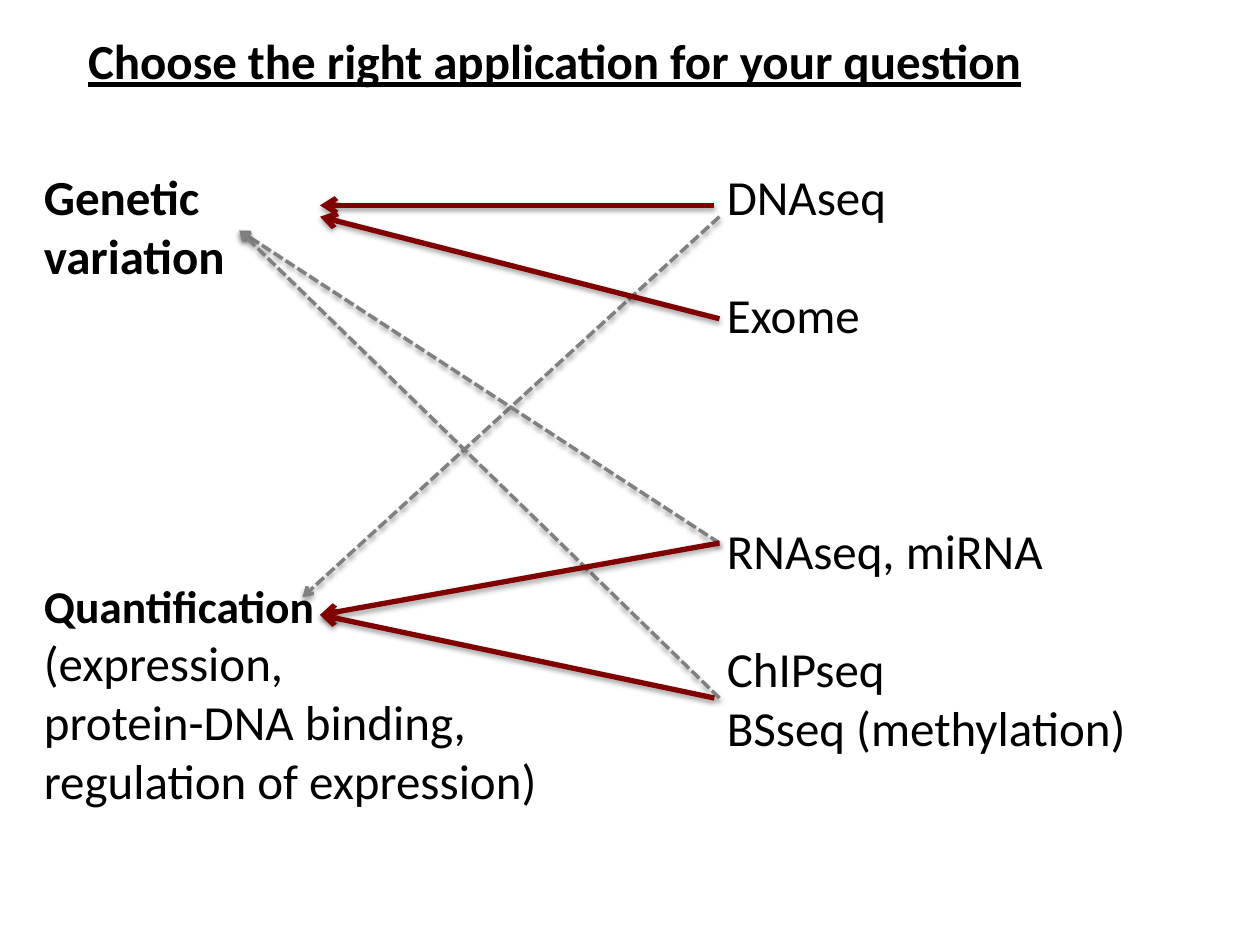
"""Build a slide that links sequencing applications to research questions."""
from lxml import etree
from pptx import Presentation
from pptx.dml.color import RGBColor
from pptx.enum.dml import MSO_LINE_DASH_STYLE as Dash
from pptx.enum.shapes import MSO_CONNECTOR as Connector
from pptx.enum.text import MSO_ANCHOR as Anchor, PP_ALIGN as Align
from pptx.oxml import parse_xml
from pptx.oxml.ns import nsdecls, qn
from pptx.util import Inches, Pt

BLACK = RGBColor(0x00, 0x00, 0x00)
GRAY = RGBColor(0x80, 0x80, 0x80)
MAROON = RGBColor(0x80, 0x00, 0x00)
FONT = "Calibri"
LINE_PITCH = 33.7
SHADOW = (
    f'<a:effectLst {nsdecls("a")}>'
    '<a:outerShdw blurRad="40000" dist="20000" dir="5400000" rotWithShape="0">'
    '<a:srgbClr val="000000"><a:alpha val="38000"/></a:srgbClr>'
    '</a:outerShdw></a:effectLst>'
)

deck = Presentation()
deck.slide_width, deck.slide_height = Inches(10), Inches(7.5)
UNIT = deck.slide_width // 100
slide = deck.slides.add_slide(deck.slide_layouts[6])


def write(frame, text, size=28, bold=False, underline=False, align=Align.LEFT, gap_lines=0):
    paragraph = frame.paragraphs[0]
    if paragraph.runs:
        paragraph = frame.add_paragraph()
    paragraph.alignment = align
    if gap_lines:
        paragraph.space_before = Pt(round(gap_lines * LINE_PITCH))
    run = paragraph.add_run()
    run.text = text
    run.font.name, run.font.size = FONT, Pt(size)
    run.font.bold, run.font.underline = bold, underline
    run.font.color.rgb = BLACK


def add_frame(left, top, width, height):
    box = slide.shapes.add_textbox(*(round(n * UNIT) for n in (left, top, width, height)))
    box.text_frame.word_wrap = False
    return box.text_frame


title = add_frame(0.5, 1.8, 87, 5.9)
title.vertical_anchor = Anchor.MIDDLE
write(title, "Choose the right application for your question",
      bold=True, underline=True, align=Align.CENTER)

applications = add_frame(56.7, 12.7, 34.1, 48.1)
for name, gap_lines in (
    ("DNAseq", 0),
    ("Exome", 1),
    ("RNAseq, miRNA", 3),
    ("ChIPseq", 1),
    ("BSseq (methylation)", 0),
):
    write(applications, name, gap_lines=gap_lines)

questions = add_frame(2.5, 12.7, 41.6, 52.8)
write(questions, "Genetic", bold=True)
write(questions, "variation", bold=True)
write(questions, "Quantification", size=26, bold=True, gap_lines=5)
for detail in ("(expression,", "protein-DNA binding,", "regulation of expression)"):
    write(questions, detail)

APPLICATION_X, APPLICATION_EDGE_X, QUESTION_X = 57.1, 56.7, 25.4
RNA_Y, CHIP_Y = 43.1, 55.4
VARIATION = (19, 18.3)
QUANTIFICATION = (QUESTION_X, 48.8)

secondary_links = (
    ((APPLICATION_X, 17.2), (24, 47.4)),
    ((APPLICATION_X, RNA_Y), VARIATION),
    ((APPLICATION_X, CHIP_Y), VARIATION),
)
primary_links = (
    ((APPLICATION_EDGE_X, 16.3), (QUESTION_X, 16.3)),
    ((APPLICATION_X, 25.3), (QUESTION_X, 17.2)),
    ((APPLICATION_X, RNA_Y), QUANTIFICATION),
    ((APPLICATION_EDGE_X, CHIP_Y), QUANTIFICATION),
)
for links, color, weight, dash in (
    (secondary_links, GRAY, 2, Dash.SQUARE_DOT),
    (primary_links, MAROON, 3, None),
):
    for start, end in links:
        arrow = slide.shapes.add_connector(
            Connector.STRAIGHT, *(round(n * UNIT) for n in start + end))
        arrow.line.color.rgb = color
        arrow.line.width = Pt(weight)
        arrow.line.dash_style = dash
        etree.SubElement(arrow.line._get_or_add_ln(), qn("a:tailEnd"), type="arrow")
        arrow._element.spPr.append(parse_xml(SHADOW))

deck.save("out.pptx")
